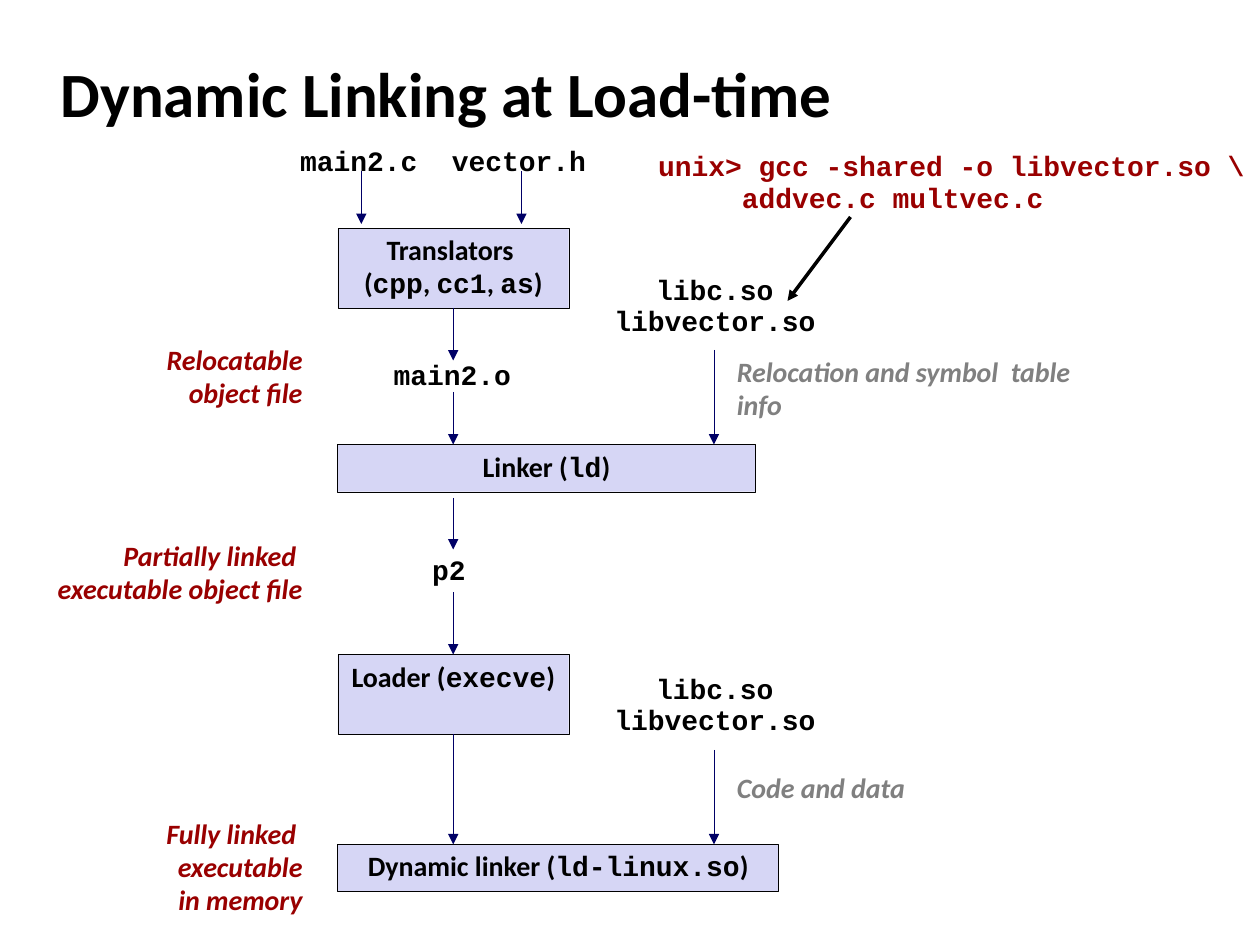
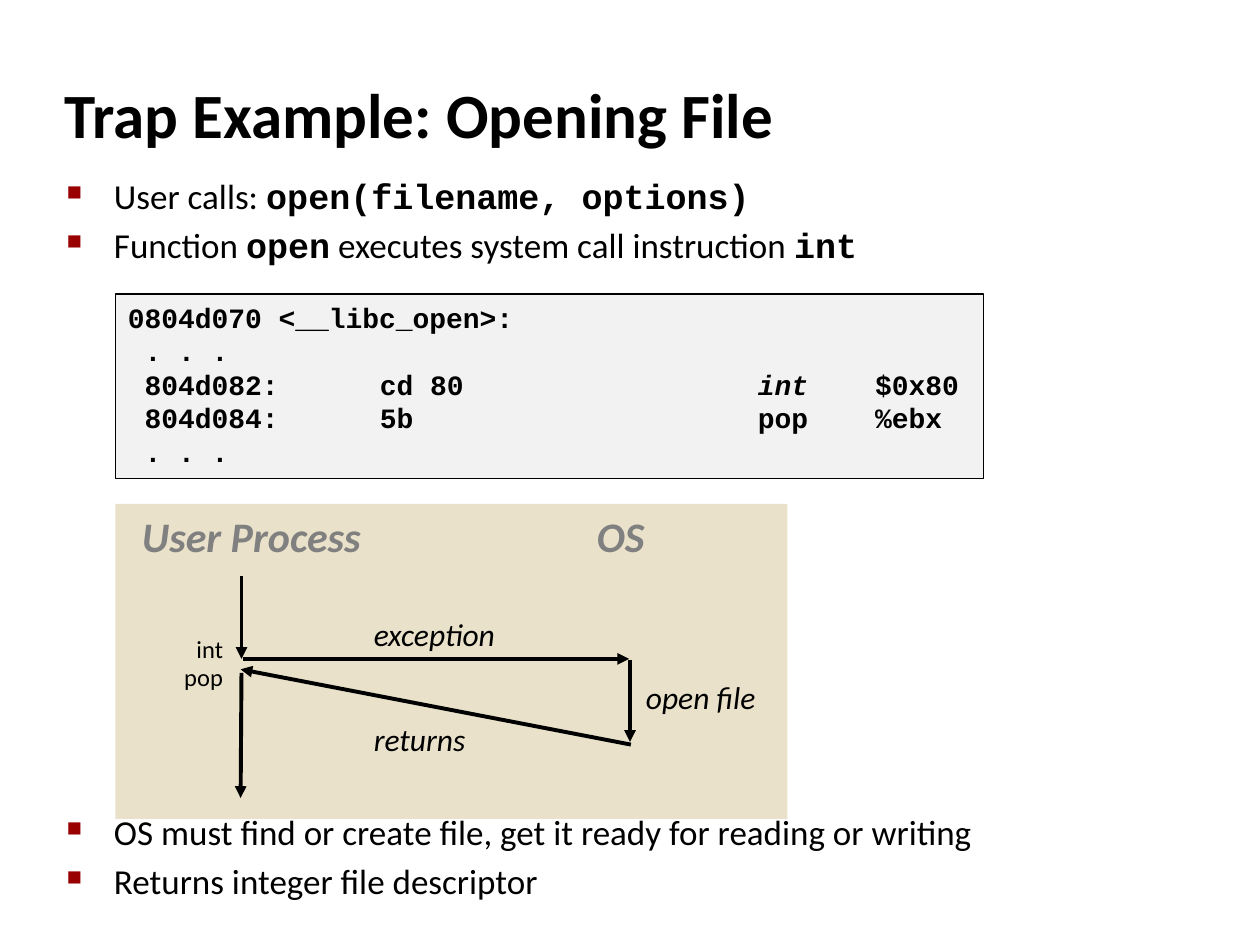
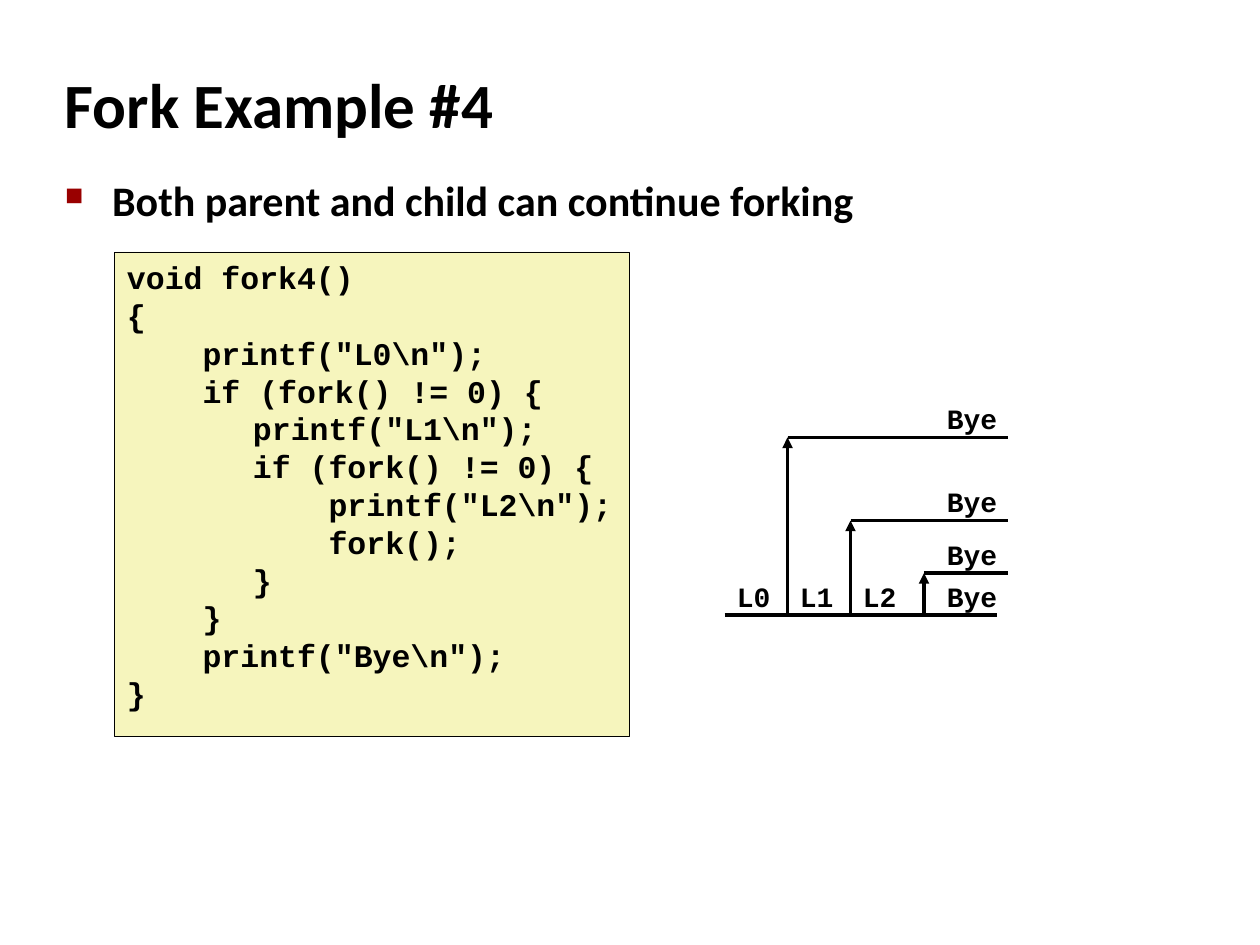
from itertools import pairwise

from lxml import etree
from pptx import Presentation
from pptx.dml.color import RGBColor
from pptx.enum import shapes, text
from pptx.oxml.ns import qn
from pptx.util import Pt

BODY, CODE = "Calibri", "Courier New"
BLACK, RED, GRAY, NAVY = "000000", "990000", "808080", "000066"
LAVENDER, SAND, SILVER, YELLOW = "D6D6F5", "E9E1C9", "F2F2F2", "F6F5BD"
LEFT, CENTER, RIGHT = text.PP_ALIGN.LEFT, text.PP_ALIGN.CENTER, text.PP_ALIGN.RIGHT
TOP_SIDE, BOTTOM_SIDE = 0, 2


def rgb(value):
    return RGBColor.from_string(value)


def add_xml(parent, tag, **attributes):
    return etree.SubElement(parent, qn(tag), attributes)


class Deck:
    def __init__(self):
        self.show = Presentation()
        self.show.slide_width, self.show.slide_height = Pt(720), Pt(540)
        self.slide = None

    def new_slide(self, title, left, top):
        self.slide = self.show.slides.add_slide(self.show.slide_layouts[6])
        heading = self.label(left, top, 660, 46, [title], size=36, bold=True)
        heading.text_frame.vertical_anchor = text.MSO_ANCHOR.MIDDLE

    def set_text(self, frame, lines, size=16, font=BODY, color=BLACK, bold=False,
                 italic=False, align=LEFT, spacing=1.0, tabs=(), accent=None, bullet=False):
        plain = dict(font=font, bold=bold, italic=italic)
        marked = plain | (accent or dict(font=CODE, bold=True))
        frame.word_wrap = align != CENTER
        frame.vertical_anchor = text.MSO_ANCHOR.TOP
        for number, line in enumerate(lines):
            paragraph = frame.add_paragraph() if number else frame.paragraphs[0]
            paragraph.alignment = align
            paragraph.line_spacing = spacing
            if bullet:
                self.add_bullet(paragraph)
                if number:
                    paragraph.space_before = Pt(size * 0.2)
            if tabs:
                stops = add_xml(paragraph._p.get_or_add_pPr(), "a:tabLst")
                for stop in tabs:
                    add_xml(stops, "a:tab", pos=str(Pt(stop)), algn="l")
            for part, words in enumerate(line.split("`")):
                if not words:
                    continue
                look = marked if part % 2 else plain
                run = paragraph.add_run()
                run.text = words
                run.font.size = Pt(size)
                run.font.color.rgb = rgb(color)
                run.font.name = look["font"]
                run.font.bold = look["bold"]
                run.font.italic = look["italic"]

    def add_bullet(self, paragraph):
        properties = paragraph._p.get_or_add_pPr()
        properties.set("marL", str(Pt(27)))
        properties.set("indent", str(Pt(-27)))
        add_xml(add_xml(properties, "a:buClr"), "a:srgbClr", val=RED)
        add_xml(properties, "a:buSzPct", val="60000")
        add_xml(properties, "a:buChar", char="■")

    def label(self, left, top, width, height, lines, **style):
        box = self.slide.shapes.add_textbox(Pt(left), Pt(top), Pt(width), Pt(height))
        self.set_text(box.text_frame, lines, **style)
        return box

    def bullets(self, left, top, lines, **style):
        self.label(left, top, 650, 30 * len(lines), lines, bullet=True, **style)

    def box(self, left, top, width, height, fill, lines=(), border=0.25, **style):
        panel = self.slide.shapes.add_shape(
            shapes.MSO_SHAPE.RECTANGLE, Pt(left), Pt(top), Pt(width), Pt(height))
        panel.shadow.inherit = False
        panel.fill.solid()
        panel.fill.fore_color.rgb = rgb(fill)
        if border:
            panel.line.color.rgb = rgb(BLACK)
            panel.line.width = Pt(border)
        else:
            panel.line.fill.background()
        self.set_text(panel.text_frame, lines, **style)
        return panel

    def line(self, x1, y1, x2, y2, color=BLACK, width=2, head=True, start=None, end=None):
        link = self.slide.shapes.add_connector(
            shapes.MSO_CONNECTOR.STRAIGHT, Pt(x1), Pt(y1), Pt(x2), Pt(y2))
        link.line.color.rgb = rgb(color)
        link.line.width = Pt(width)
        properties = link._element.spPr
        if head:
            add_xml(properties.find(qn("a:ln")), "a:tailEnd", type="triangle")
        add_xml(properties, "a:effectLst")
        if start:
            link.begin_connect(start, BOTTOM_SIDE)
        if end:
            link.end_connect(end, TOP_SIDE)


def linking_slide(deck):
    deck.new_slide("Dynamic Linking at Load-time", 27.5, 30)
    stage = dict(bold=True, align=CENTER, spacing=0.98)
    file_name = dict(font=CODE, bold=True, align=CENTER, spacing=0.94)
    state = dict(color=RED, bold=True, italic=True, align=RIGHT, spacing=0.98)
    remark = dict(color=GRAY, bold=True, italic=True, spacing=0.98)
    flow = dict(color=NAVY, width=0.25)
    spine, libraries = 259, 408

    translators = deck.box(193, 130.5, 132, 45.5, LAVENDER,
                           ["Translators ", "(`cpp`, `cc1`, `as`)"], **stage)
    deck.box(193, 254, 238.5, 27, LAVENDER, ["Linker (`ld`)"], **stage)
    loader = deck.box(193, 374, 132, 45.5, LAVENDER, ["Loader (`execve`)"], **stage)
    deck.box(193, 482.5, 252, 27, LAVENDER, ["Dynamic linker (`ld-linux.so`)"], **stage)

    for name, left, top, width in (("main2.c", 164, 80, 82), ("vector.h", 250.5, 80, 92),
                                   ("main2.o", 217.5, 202.5, 82), ("p2", 239.5, 313.5, 34)):
        deck.label(left, top, width, 26, [name], **file_name)
    for top in (153.5, 381.5):
        deck.label(343, top, 131, 44, ["libc.so", "libvector.so"], **file_name)

    for source in (206.5, 298):
        deck.line(source, 98, source, 128, **flow)
    deck.line(spine, 176, spine, 206, start=translators, **flow)
    deck.line(spine, 224, spine, 254, **flow)
    deck.line(spine, 284.5, spine, 314, **flow)
    deck.line(spine, 338.5, spine, 374, end=loader, **flow)
    deck.line(spine, 419.5, spine, 482.5, start=loader, **flow)
    for linker_top in (254, 482.5):
        deck.line(libraries, linker_top - 54, libraries, linker_top, **flow)

    for top, lines in ((193, ["Relocatable", "object file"]),
                       (305, ["Partially linked ", "executable object file"]),
                       (464, ["Fully linked ", "executable", "in memory"])):
        deck.label(-18, top, 198, 20 * len(lines) + 6, lines, **state)
    deck.label(414, 200, 205, 45, ["Relocation and symbol  table info"], **remark)
    deck.label(414, 437.5, 140, 27, ["Code and data"], **remark)
    deck.label(369, 83, 356, 44,
               ["unix> gcc -shared -o libvector.so \\", "     addvec.c multvec.c"],
               font=CODE, color=RED, bold=True, spacing=0.94)
    deck.line(486, 124, 450, 172)


def trap_slide(deck):
    deck.new_slide("Trap Example: Opening File", 30, 41.5)
    deck.bullets(31, 96, ["User calls: `open(filename, options)`",
                          "Function `open` executes system call instruction `int`"], size=20)
    deck.box(66, 168, 496, 105.5, SILVER,
             ["0804d070 <__libc_open>:", " . . .",
              " 804d082:\tcd 80\t`int`\t$0x80",
              " 804d084:\t5b\tpop\t%ebx", " . . ."],
             border=1, font=CODE, bold=True, tabs=(144, 360, 427), accent={"italic": True})

    deck.box(66, 288, 384, 180, SAND, border=0)
    for side, left in (("User Process", 74), ("OS", 334)):
        deck.label(left, 288, 150, 36, [side], size=24, color=GRAY, bold=True, italic=True)
    user, system = 138, 360
    for route in ((user, 329, user, 376.5), (user + 1, 376.5, system - 0.5, 376.5),
                  (system, 377, system, 424), (system + 0.5, 425.5, user - 0.5, 382.5),
                  (user, 384.5, user - 0.5, 456)):
        deck.line(*route, width=2.25)
    for event, left, top in (("exception", 206.5, 348), ("open file", 362, 384),
                             ("returns", 206.5, 408)):
        deck.label(left, top, 96, 29, [event], size=18, italic=True)
    for instruction, top in (("int", 358.5), ("pop", 374.5)):
        deck.label(94, top, 40.5, 24, [instruction], size=14, align=RIGHT)
    deck.bullets(31, 459.5, ["OS must find or create file, get it ready for reading or writing",
                             "Returns integer file descriptor"], size=20)


def fork_slide(deck):
    deck.new_slide("Fork Example #4", 30, 36)
    deck.bullets(30, 96, ["Both parent and child can continue forking"], size=24, bold=True)
    program = r"""void fork4()
{
    printf("L0\n");
    if (fork() != 0) {
<printf("L1\n");
<if (fork() != 0) {
<    printf("L2\n");
<    fork();
<}
    }
    printf("Bye\n");
}""".replace("<", "\t").split("\n")
    deck.box(65.5, 144, 294, 276.5, YELLOW, program, size=18, font=CODE, bold=True, tabs=(72,))

    parent, finish, rise = 351.5, 576, 24
    output = dict(font=CODE, bold=True)
    steps = (414, 450, 486, 528, 570)
    levels = (250, 297.5, 327.5)
    for start, stop in pairwise(steps):
        deck.line(start, parent, stop, parent, head=False)
    for fork, child in zip(steps[1:], levels):
        deck.line(fork, parent, fork, child)
        deck.line(fork, child, finish, child, head=False)
    for number, left in enumerate(steps[:3]):
        deck.label(left, parent - rise, 36, 27, [f"L{number}"], **output)
    for level in (*levels, parent):
        deck.label(534, level - rise, 46, 27, ["Bye"], **output)


def main():
    deck = Deck()
    linking_slide(deck)
    trap_slide(deck)
    fork_slide(deck)
    deck.show.save("out.pptx")


if __name__ == "__main__":
    main()
